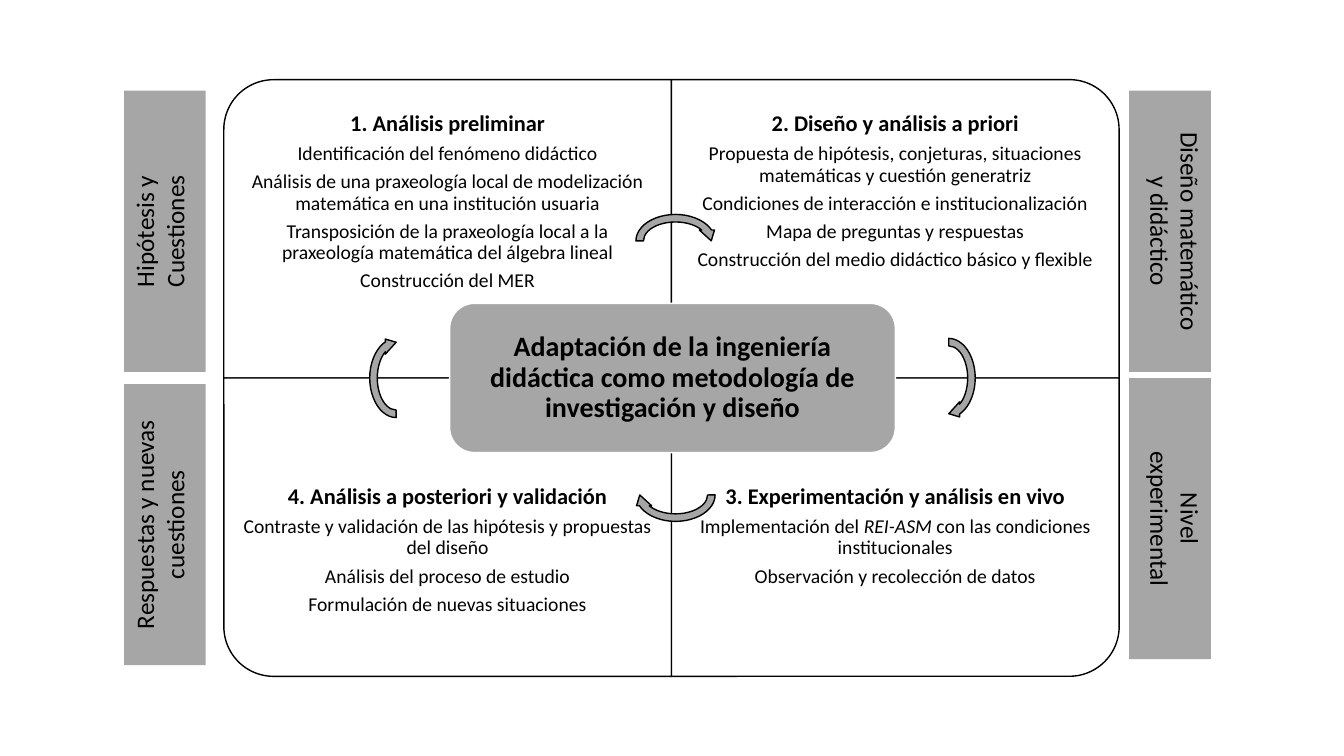
import collections

import pptx
import pptx.dml.color
import pptx.enum.shapes
import pptx.enum.text
import pptx.util

Inches = pptx.util.Inches
Pt = pptx.util.Pt
RGB = pptx.dml.color.RGBColor
Kind = pptx.enum.shapes.MSO_SHAPE
Anchor = pptx.enum.text.MSO_ANCHOR

Theme = collections.namedtuple("Theme", "font ink gray white head body hub side")
theme = Theme("Calibri", RGB(0, 0, 0), RGB(0xA6, 0xA6, 0xA6), RGB(255, 255, 255),
              head=16, body=14, hub=20, side=18)

deck = pptx.Presentation()
deck.slide_width, deck.slide_height = Inches(13.33), Inches(7.5)
slide = deck.slides.add_slide(deck.slide_layouts[6])


def draw(kind, box, fill, line=None, turn=0):
    shape = slide.shapes.add_shape(kind, *map(Inches, box))
    shape.shadow.inherit = False
    shape.rotation = turn
    shape.fill.solid()
    shape.fill.fore_color.rgb = fill
    if line is None:
        shape.line.fill.background()
    else:
        shape.line.color.rgb = line
        shape.line.width = Pt(1)
    return shape


def write(para, text, size, bold=False):
    """Add centred runs; a newline breaks the line and asterisks mark italics."""
    para.alignment = pptx.enum.text.PP_ALIGN.CENTER
    for row, line in enumerate(text.split("\n")):
        if row:
            para.add_line_break()
        for part, piece in enumerate(line.split("*")):
            run = para.add_run()
            run.text = piece
            font = run.font
            font.name, font.size, font.bold = theme.font, Pt(size), bold
            font.italic = part % 2 == 1
            font.color.rgb = theme.ink


# Four quadrants: column, row, rotation, heading, items
wide, high = 4.44, 2.96
left, top = 2.22, 0.79
quads = [
    (0, 0, 270, "1. Análisis preliminar", [
        "Identificación del fenómeno didáctico",
        "Análisis de una praxeología local de modelización matemática "
        "en una institución usuaria",
        "Transposición de la praxeología local a la\n"
        "praxeología matemática del álgebra lineal",
        "Construcción del MER"]),
    (1, 0, 0, "2. Diseño y análisis a priori", [
        "Propuesta de hipótesis, conjeturas, situaciones matemáticas "
        "y cuestión generatriz",
        "Condiciones de interacción e institucionalización",
        "Mapa de preguntas y respuestas",
        "Construcción del medio didáctico básico y flexible"]),
    (0, 1, 180, "4. Análisis a posteriori y validación", [
        "Contraste y validación de las hipótesis y propuestas\ndel diseño",
        "Análisis del proceso de estudio",
        "Formulación de nuevas situaciones"]),
    (1, 1, 90, "3. Experimentación y análisis en vivo", [
        "Implementación del *REI-ASM* con las condiciones institucionales",
        "Observación y recolección de datos"]),
]
for col, row, turn, head, items in quads:
    x, y = left + col * wide, top + row * high
    # A quarter turn swaps the sides around the same centre
    w, h = (high, wide) if turn % 180 else (wide, high)
    box = (x + (wide - w) / 2, y + (high - h) / 2, w, h)
    draw(Kind.ROUND_1_RECTANGLE, box, theme.white, theme.ink, turn)

    drop = 0.95 if row else 0.21
    note = slide.shapes.add_textbox(*map(Inches, (x, y + drop, wide, 2.01)))
    frame = note.text_frame
    frame.word_wrap = True
    frame.margin_left = frame.margin_right = Inches(0.11)
    frame.margin_top = frame.margin_bottom = Inches(0.11)
    for spot, text in enumerate([head] + items):
        para = frame.add_paragraph() if spot else frame.paragraphs[0]
        size = theme.body if spot else theme.head
        para.line_spacing = 0.9
        para.space_after = Pt(0.35 * size)
        write(para, text, size, bold=spot == 0)

# Central label
hub = draw(Kind.ROUNDED_RECTANGLE, (4.46, 3.01, 4.42, 1.48), theme.gray, theme.white)
frame = hub.text_frame
frame.word_wrap = True
frame.vertical_anchor = Anchor.MIDDLE
frame.margin_left = frame.margin_right = Inches(0.08)
frame.margin_top = frame.margin_bottom = Inches(0.08)
frame.paragraphs[0].line_spacing = 0.9
write(frame.paragraphs[0], "Adaptación de la ingeniería didáctica como metodología "
      "de investigación y diseño", theme.hub, bold=True)

# Upright side labels
sides = [
    (1.23, 0.9, "vert270", "Hipótesis y\nCuestiones"),
    (1.23, 3.81, "vert270", "Respuestas y nuevas\ncuestiones"),
    (11.2, 0.9, "vert", "Diseño matemático\ny didáctico"),
    (11.2, 3.75, "vert", "Nivel\nexperimental"),
]
for x, y, flow, text in sides:
    tab = draw(Kind.RECTANGLE, (x, y, 0.81, 2.79), theme.gray)
    tab.text_frame.word_wrap = True
    tab.text_frame.vertical_anchor = Anchor.TOP
    tab.element.txBody.bodyPr.set("vert", flow)
    write(tab.text_frame.paragraphs[0], text, theme.side)

# Clockwise arrows around the centre
for x, y, turn in [(3.5, 3.45, 270), (6.27, 2.09, 0), (8.98, 3.45, 90), (6.27, 4.61, 180)]:
    draw(Kind.CIRCULAR_ARROW, (x, y, 0.86, 0.6), theme.gray, theme.ink, turn)

deck.save("out.pptx")
